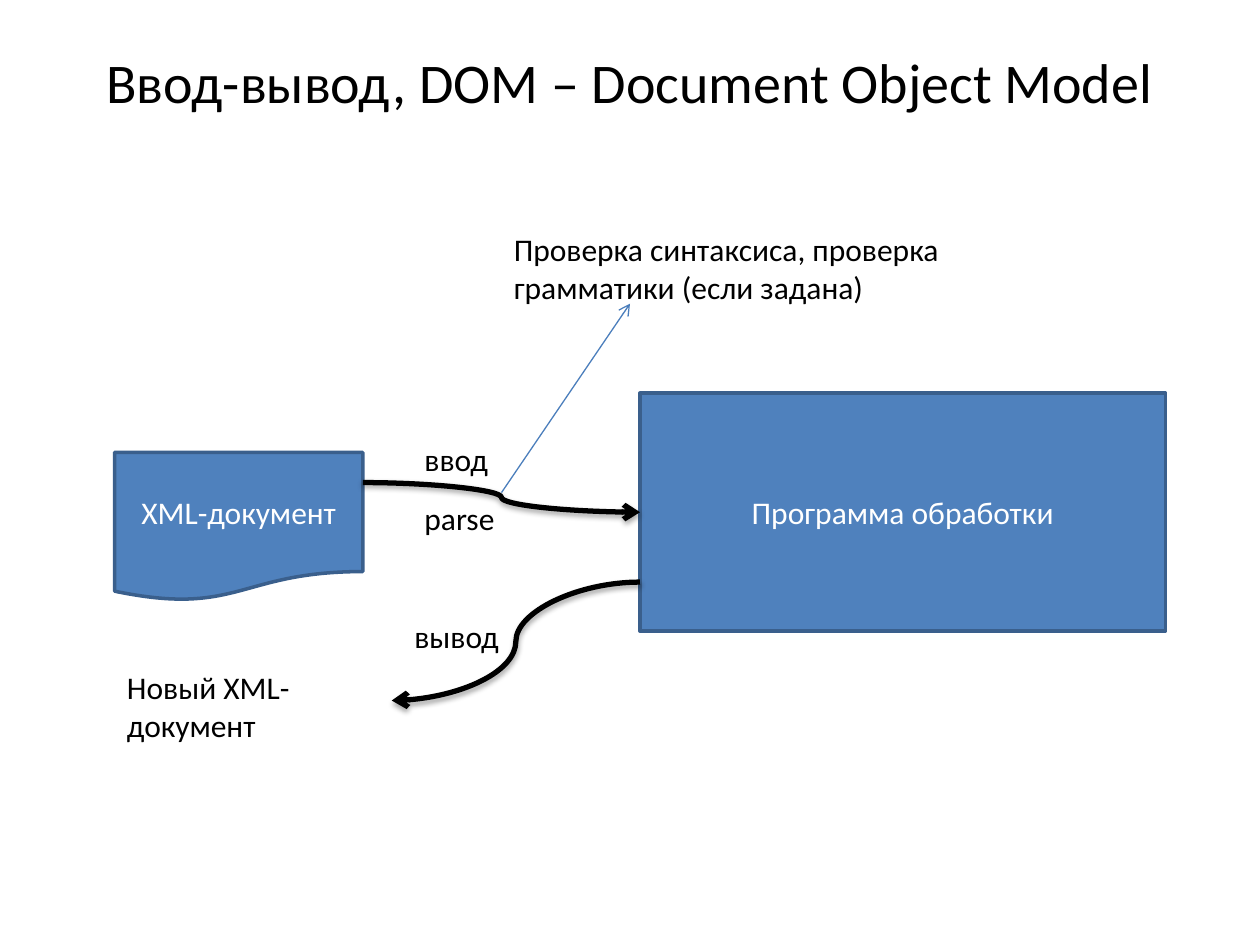
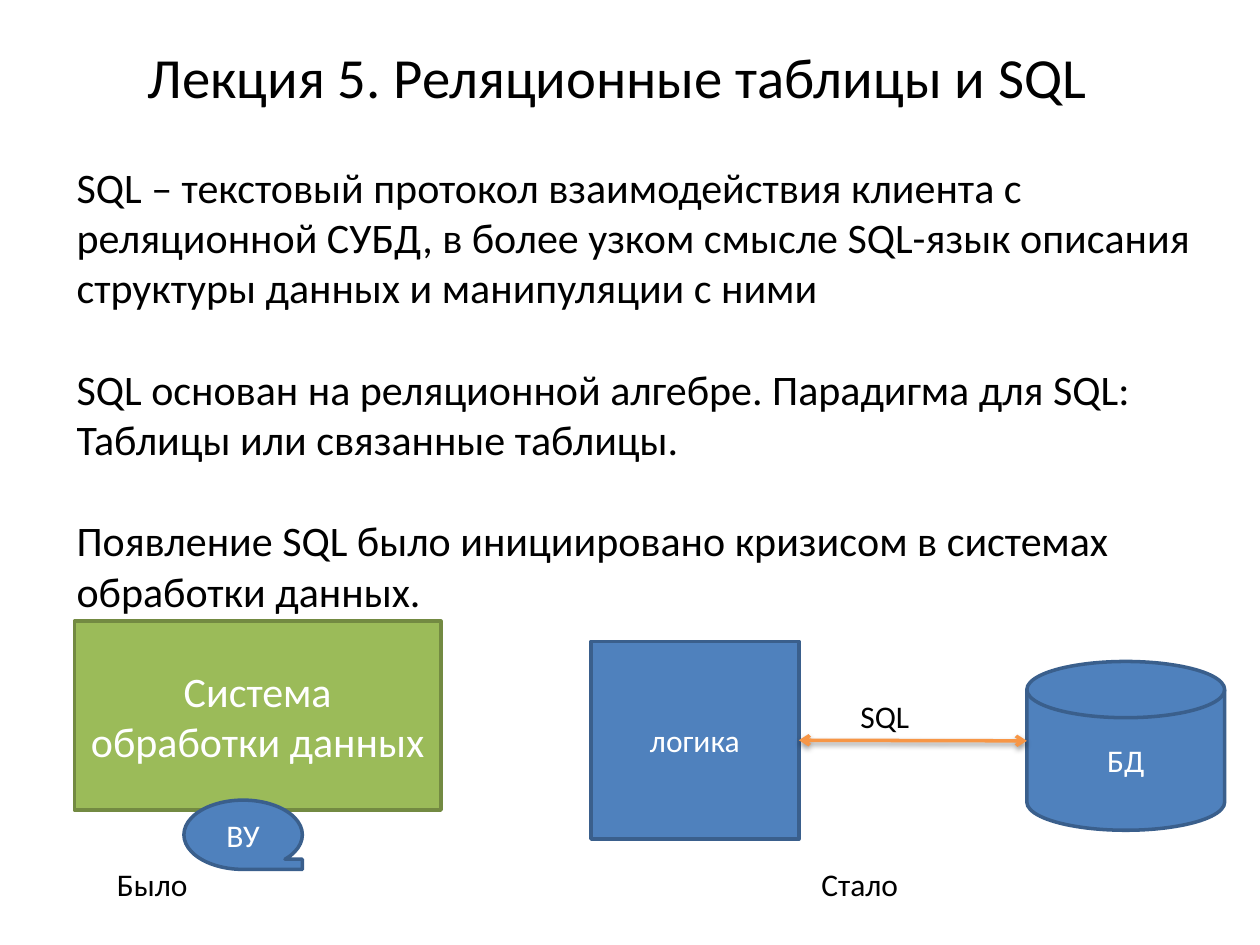
from dataclasses import dataclass
from typing import Any

from lxml import etree
from pptx import Presentation
from pptx.dml.color import RGBColor
from pptx.enum.shapes import MSO_CONNECTOR as Connector, MSO_SHAPE as Shape
from pptx.enum.text import MSO_ANCHOR as Anchor, PP_ALIGN as Align
from pptx.oxml.ns import qn
from pptx.util import Inches, Pt

FONT = "Calibri"
BLACK, WHITE = "000000", "FFFFFF"
BLUE, BLUE_EDGE, THIN_BLUE = "4F81BD", "3A5F8C", "4B7EBC"
GREEN, GREEN_EDGE, ORANGE = "9BBB59", "738A42", "F79646"
LABEL_HEIGHT, TWO_LINES = 0.4, 0.71


def color(value):
    return RGBColor.from_string(value)


def format_text(text_frame, size, font_color, align=Align.LEFT, anchor=Anchor.TOP):
    text_frame.word_wrap = True
    text_frame.vertical_anchor = anchor
    for paragraph in text_frame.paragraphs:
        paragraph.alignment = align
        for run in paragraph.runs:
            run.font.name = FONT
            run.font.size = Pt(size)
            run.font.color.rgb = color(font_color)


def set_shadow(connector, opacity, distance):
    effects = etree.SubElement(connector._element.spPr, qn("a:effectLst"))
    if opacity:
        shadow = etree.SubElement(
            effects, qn("a:outerShdw"), blurRad=str(Pt(3.1)),
            dist=str(Pt(distance)), dir="5400000", rotWithShape="0")
        shade = etree.SubElement(shadow, qn("a:srgbClr"), val=BLACK)
        etree.SubElement(shade, qn("a:alpha"), val=str(opacity * 1000))


@dataclass
class Region:
    slide: Any
    left: float
    top: float
    width: float
    height: float

    def point(self, x, y):
        return Inches(self.left + x), Inches(self.top + y)

    def text(self, text, x, y, width, height, size=18, **layout):
        box = self.slide.shapes.add_textbox(
            *self.point(x, y), Inches(width), Inches(height))
        box.text_frame.text = text
        format_text(box.text_frame, size, BLACK, **layout)
        return box

    def shape(self, kind, text, x, y, width, height, size=18, fill=BLUE, edge=BLUE_EDGE):
        shape = self.slide.shapes.add_shape(
            kind, *self.point(x, y), Inches(width), Inches(height))
        shape.shadow.inherit = False
        shape.fill.solid()
        shape.fill.fore_color.rgb = color(fill)
        shape.line.color.rgb = color(edge)
        shape.line.width = Pt(2)
        shape.text_frame.text = text
        format_text(shape.text_frame, size, WHITE, Align.CENTER, Anchor.MIDDLE)
        return shape

    def arrow(self, kind, start, end, line_color, width,
              ends=("tailEnd",), opacity=0, distance=0):
        connector = self.slide.shapes.add_connector(
            kind, *self.point(*start), *self.point(*end))
        connector.line.color.rgb = color(line_color)
        connector.line.width = Pt(width)
        line = connector.line._get_or_add_ln()
        for name in ends:
            etree.SubElement(line, qn(f"a:{name}"), type="arrow")
        set_shadow(connector, opacity, distance)
        return connector


def add_title(region, text, size):
    region.text(text, 0, 0, region.width, region.height, size,
                align=Align.CENTER, anchor=Anchor.MIDDLE)


def add_parsing_diagram(region):
    program_left = region.width - 4.17
    program = region.shape(Shape.RECTANGLE, "Программа обработки",
                           program_left, 1.34, 4.17, 1.89)
    region.shape(Shape.FLOWCHART_DOCUMENT, "XML-документ", 0, 1.81, 1.97, 1.18)

    flow = dict(line_color=BLACK, width=3, opacity=35, distance=1.8)
    reading = region.arrow(Connector.CURVE, (1.97, 2.05), (program_left, 2.28), **flow)
    reading.end_connect(program, 1)
    region.arrow(Connector.CURVE, (program_left, 2.84), (2.2, 3.78), **flow)

    region.text("Новый XML-документ", 0, region.height - TWO_LINES, 2.2, TWO_LINES)
    for text, x, y in [("ввод", 2.36, 1.66), ("parse", 2.36, 2.13), ("вывод", 2.28, 3.07)]:
        region.text(text, x, y, 1.02, LABEL_HEIGHT)

    region.arrow(Connector.STRAIGHT, (3.07, 2.13), (4.09, 0.63), THIN_BLUE, 0.75)
    region.text("Проверка синтаксиса, проверка грамматики (если задана)",
                3.07, 0, 3.94, TWO_LINES)


def add_body(region, paragraphs):
    body = region.text("\n".join(paragraphs), 0, 0, region.width, region.height, 24)
    for paragraph in body.text_frame.paragraphs[1:]:
        paragraph.space_before = Pt(29)


def add_old_system(region):
    region.shape(Shape.RECTANGLE, "Система обработки данных", 0, 0, region.width, 1.5,
                 24, GREEN, GREEN_EDGE)
    region.shape(Shape.FLOWCHART_SEQUENTIAL_ACCESS_STORAGE, "ВУ", 0.87, 1.42, 0.94, 0.55)
    region.text("Было", 0.24, region.height - LABEL_HEIGHT, 1.18, LABEL_HEIGHT)


def add_new_system(region):
    database_left = region.width - 1.57
    region.shape(Shape.FLOWCHART_MAGNETIC_DISK, "БД", database_left, 0.16, 1.57, 1.34)
    logic = region.shape(Shape.RECTANGLE, "логика", 0, 0, 1.65, 1.57)
    exchange = region.arrow(Connector.STRAIGHT, (1.65, 0.79), (database_left, 0.79), ORANGE, 2,
                            ("headEnd", "tailEnd"), 38, 1.6)
    exchange.begin_connect(logic, 3)
    region.text("SQL", 2.04, 0.39, 1.18, LABEL_HEIGHT)
    region.text("Стало", 1.73, region.height - LABEL_HEIGHT, 1.18, LABEL_HEIGHT)


def add_dom_slide(slide):
    add_title(Region(slide, 0.5, 0.3, 9, 0.69), "Ввод-вывод, DOM – Document Object Model", 32)
    add_parsing_diagram(Region(slide, 0.91, 1.78, 8.34, 4.18))


def add_sql_slide(slide):
    add_title(Region(slide, 0.4, 0.3, 9, 0.61), "Лекция 5. Реляционные таблицы и SQL", 32.4)
    add_body(Region(slide, 0.51, 1.23, 9.13, 3.74), [
        "SQL – текстовый протокол взаимодействия клиента с реляционной СУБД, "
        "в более узком смысле SQL-язык описания структуры данных и манипуляции с ними",
        "SQL основан на реляционной алгебре. Парадигма для SQL: "
        "Таблицы или связанные таблицы.",
        "Появление SQL было инициировано кризисом в системах обработки данных.",
    ])
    add_old_system(Region(slide, 0.59, 4.93, 2.91, 2.29))
    add_new_system(Region(slide, 4.69, 5.09, 5.03, 2.13))


def main():
    presentation = Presentation()
    presentation.slide_width, presentation.slide_height = Inches(10), Inches(7.5)
    blank = presentation.slide_layouts[6]
    for build in (add_dom_slide, add_sql_slide):
        build(presentation.slides.add_slide(blank))
    presentation.save("out.pptx")


if __name__ == "__main__":
    main()
